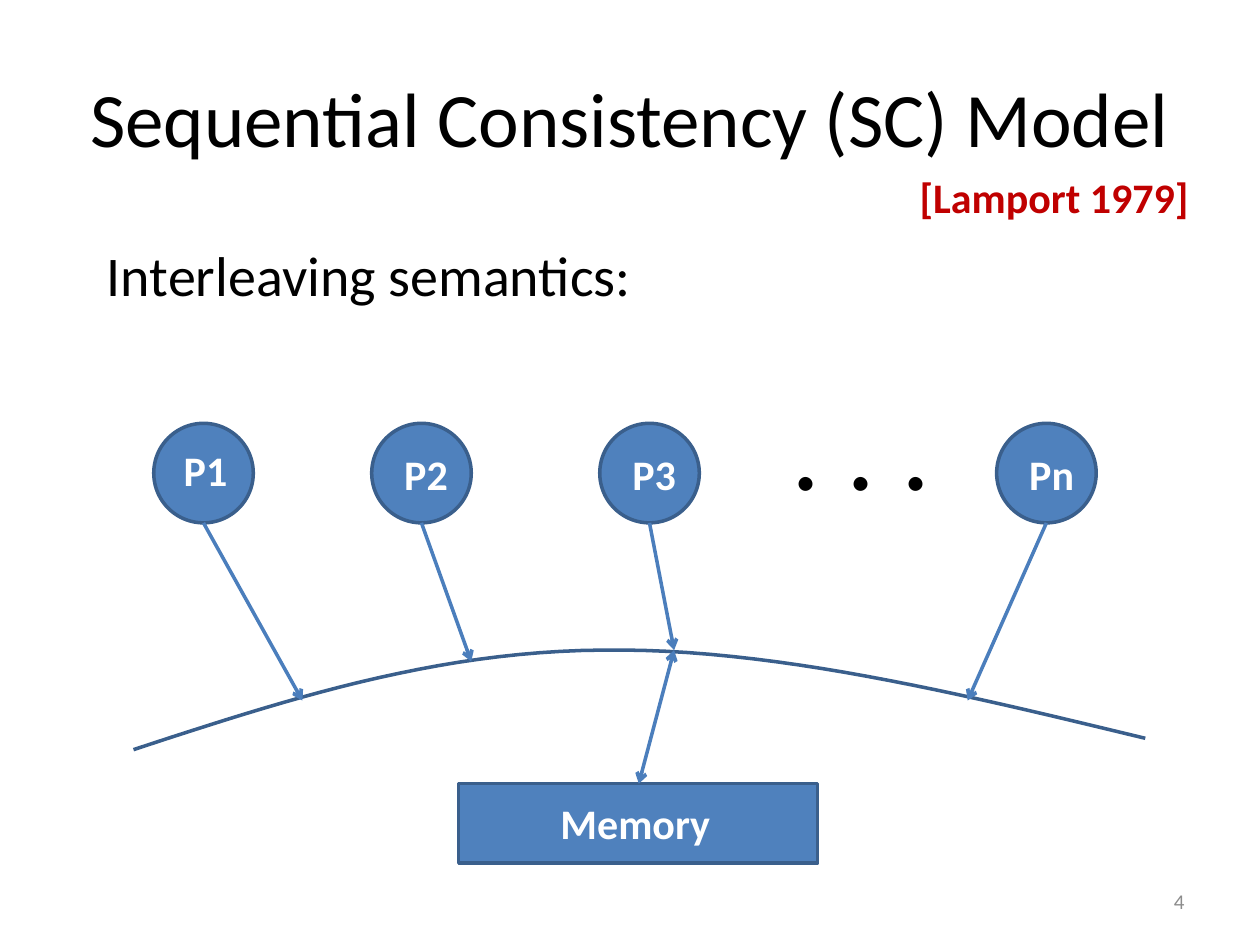
from lxml.etree import SubElement
from pptx import Presentation
from pptx.dml.color import RGBColor
from pptx.enum.shapes import MSO_CONNECTOR, MSO_SHAPE
from pptx.enum.text import MSO_ANCHOR, PP_ALIGN
from pptx.oxml.ns import qn
from pptx.util import Inches, Pt

rgb = RGBColor.from_string
BLUE, EDGE, ARROW = "4F81BD", "3A5F8C", "4B7EBC"

prs = Presentation()
prs.slide_width, prs.slide_height = Inches(10), Inches(7.5)
s = prs.slides.add_slide(prs.slide_layouts[6])


def add_text(text, box, size, color="000000", bold=False,
             align=PP_ALIGN.LEFT, anchor=MSO_ANCHOR.TOP):
    tf = s.shapes.add_textbox(*map(Inches, box)).text_frame
    tf.word_wrap = True
    tf.vertical_anchor = anchor
    p = tf.paragraphs[0]
    p.alignment = align
    r = p.add_run()
    r.text = text
    font = {"name": "Calibri", "size": Pt(size), "bold": bold}
    for name, value in font.items():
        setattr(r.font, name, value)
    r.font.color.rgb = rgb(color)


def style_line(sp, color):
    sp.line.color.rgb = rgb(color)
    sp.line.width = Pt(2)


add_text("Sequential Consistency (SC) Model", (0.5, 0.3, 9, 1.25), 44,
         align=PP_ALIGN.CENTER, anchor=MSO_ANCHOR.MIDDLE)
add_text("[Lamport 1979]", (7.2, 1.31, 2.52, 0.5), 24, "C00000", True)
add_text("Interleaving semantics:", (0.75, 1.86, 5.75, 0.64), 32)
add_text(". . .", (6.18, 2.93, 1.34, 1.21), 66)

# Bus between the processors and the memory: two Bezier curves
bus = [
    [(1.06, 5.95), (2.25, 5.56), (3.44, 5.17), (4.78, 5.16)],
    [(4.78, 5.16), (6.12, 5.14), (7.6, 5.5), (9.09, 5.86)],
]
STEPS = 24
points = []
for curve in bus:
    for i in range(1, STEPS + 1):
        t = i / STEPS
        weights = ((1 - t) ** 3, 3 * t * (1 - t) ** 2, 3 * t ** 2 * (1 - t), t ** 3)
        points.append([Inches(sum(w * c for w, c in zip(weights, axis)))
                       for axis in zip(*curve)])
fb = s.shapes.build_freeform(*map(Inches, bus[0][0]))
fb.add_line_segments(points, close=False)
sp = fb.convert_to_shape()
sp.shadow.inherit = False
sp.fill.background()
style_line(sp, EDGE)

# Processors: label, circle left, label left, label top, arrow tip
DIAMETER, TOP = 0.79, 3.36
processors = [
    ("P1", 1.22, 1.36, 3.48, (2.4, 5.56)),
    ("P2", 2.95, 3.11, 3.51, (3.74, 5.25)),
    ("P3", 4.76, 4.92, 3.51, (5.35, 5.16)),
    ("Pn", 7.91, 8.07, 3.51, (7.68, 5.56)),
]
nodes = [(MSO_SHAPE.OVAL, (left, TOP, DIAMETER, DIAMETER))
         for _, left, *_ in processors]
nodes.append((MSO_SHAPE.RECTANGLE, (3.64, 6.22, 2.85, 0.63)))
for kind, box in nodes:
    sp = s.shapes.add_shape(kind, *map(Inches, box))
    sp.shadow.inherit = False
    sp.fill.solid()
    sp.fill.fore_color.rgb = rgb(BLUE)
    style_line(sp, EDGE)

arrows = [((left + DIAMETER / 2, TOP + DIAMETER), tip, ["tailEnd"])
          for _, left, _, _, tip in processors]
arrows.append(((5.07, 6.22), (5.35, 5.16), ["headEnd", "tailEnd"]))
for start, end, heads in arrows:
    cx = s.shapes.add_connector(MSO_CONNECTOR.STRAIGHT, *map(Inches, start + end))
    style_line(cx, ARROW)
    for head in heads:
        SubElement(cx.line._get_or_add_ln(), qn(f"a:{head}"), type="arrow")
    SubElement(cx._element.spPr, qn("a:effectLst"))

for label, _, left, top, _ in processors:
    add_text(label, (left, top, 0.71, 0.5), 24, "FFFFFF", True)
add_text("Memory", (4.35, 6.28, 1.5, 0.5), 24, "FFFFFF", True)
add_text("4", (7.17, 6.95, 2.33, 0.4), 12, "8C8C8C",
         align=PP_ALIGN.RIGHT, anchor=MSO_ANCHOR.MIDDLE)

prs.save("out.pptx")
